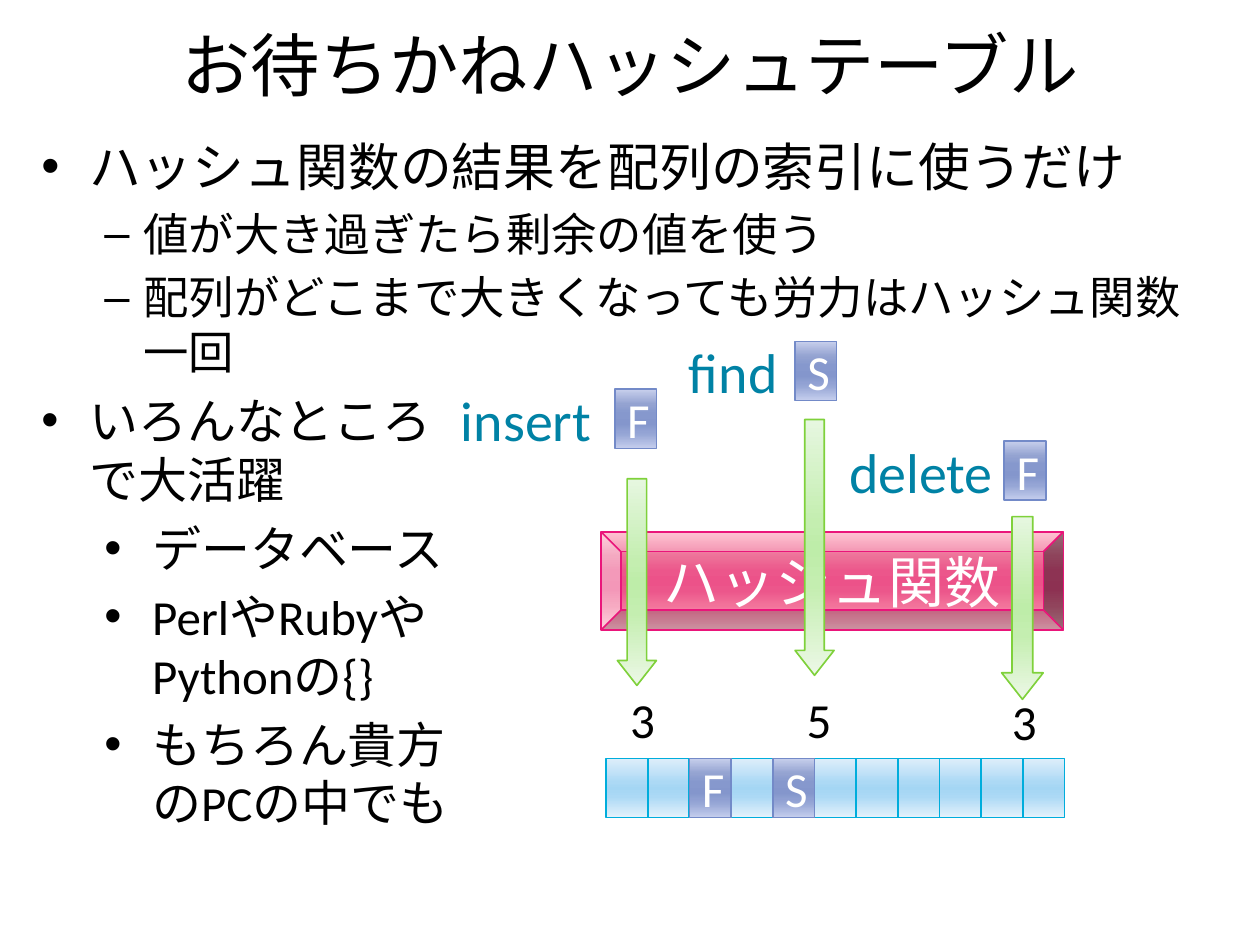
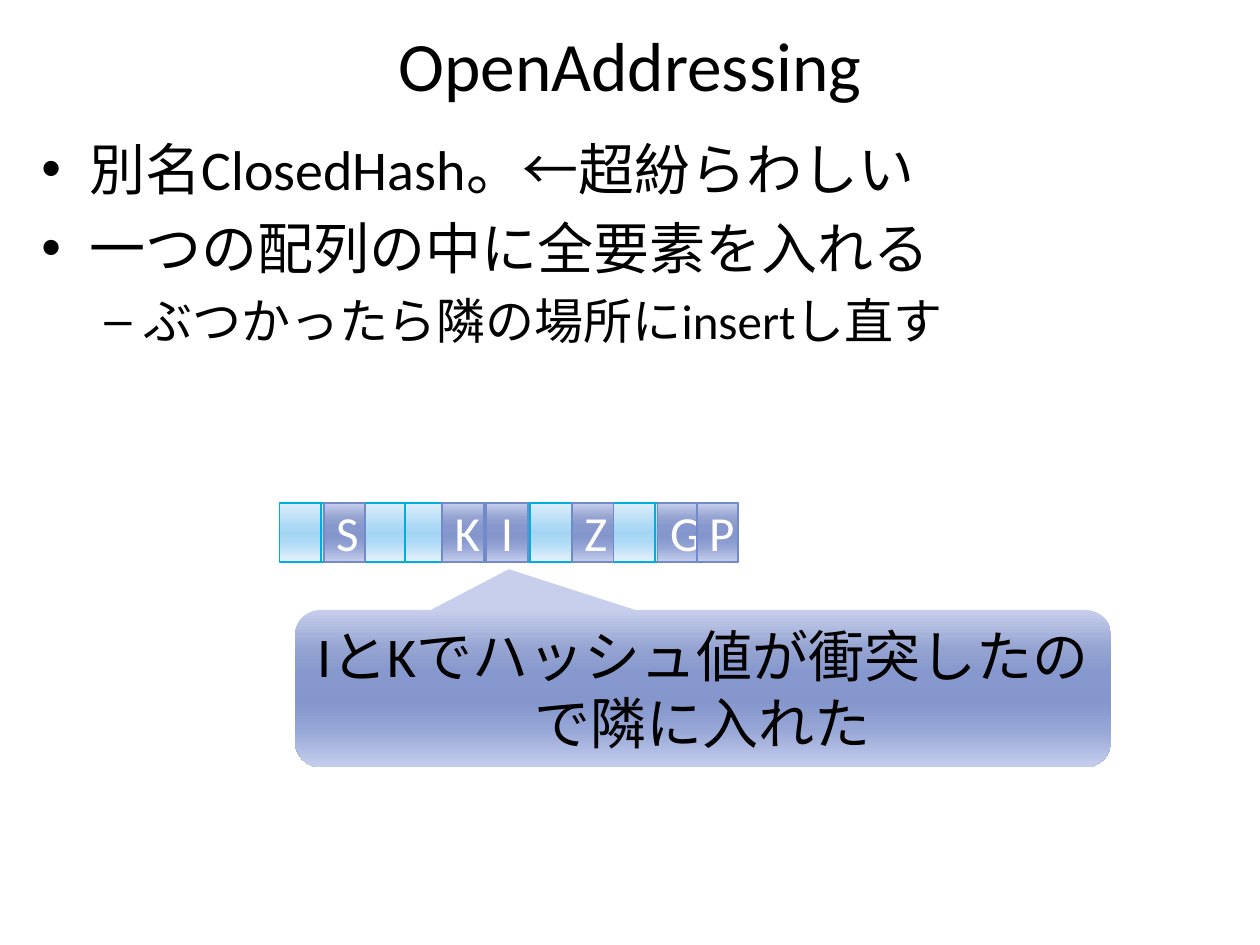
"""Build two slides that explain hash tables and open addressing."""
from pptx import Presentation
from pptx.dml.color import RGBColor
from pptx.enum.shapes import MSO_SHAPE
from pptx.enum.text import MSO_ANCHOR, PP_ALIGN
from pptx.oxml import parse_xml
from pptx.oxml.ns import nsdecls
from pptx.util import Inches, Pt

RECTANGLE = MSO_SHAPE.RECTANGLE
BEVEL = MSO_SHAPE.BEVEL
DOWN_ARROW = MSO_SHAPE.DOWN_ARROW
CALLOUT = MSO_SHAPE.ROUNDED_RECTANGULAR_CALLOUT
LEFT, CENTER = PP_ALIGN.LEFT, PP_ALIGN.CENTER
TOP, MIDDLE = MSO_ANCHOR.TOP, MSO_ANCHOR.MIDDLE

FONT = "Calibri"
BLACK, WHITE, TEAL = "000000", "FFFFFF", "0082A5"
CYAN_LINE, BLUE_LINE, PINK_LINE, GREEN_LINE = "00ADDC", "738AC8", "EA157A", "7FD13B"
CYAN = [(0, "DEEEFA"), (40, "ACD9F5"), (50, "A4D6F4"), (65, "ACD9F5"), (100, "E5F2FB")]
GREEN = [(0, "E6F7E0"), (40, "C4EEB0"), (50, "BEEDA9"), (65, "C4EEB0"), (100, "ECF8E6")]
BLUE = [(0, "C7CFEC"), (25, "94A3D1"), (40, "8698CD"), (50, "8496CC"),
        (60, "8698CD"), (75, "95A5D5"), (100, "C5CEED")]
PINK = [(0, "FFB6C9"), (25, "ED7198"), (40, "EC568B"), (50, "EC5289"),
        (60, "EC568B"), (75, "F2729A"), (100, "FFB6C9")]

CELL_WIDTH, CELL_HEIGHT = 0.33, 0.47
CELL_COUNT = 11
CELL_PITCH = 3.31 / (CELL_COUNT - 1)

TOP_BULLET = ("•", 0.38, 0.38)
DASH = ("–", 0.81, 0.31)
SUB_BULLET = ("•", 0.88, 0.38)


def color(value):
    """Turn a hex string into a colour."""
    return RGBColor.from_string(value)


def place(shape, left, top, width, height):
    """Move and size a shape, in inches."""
    shape.left, shape.top = Inches(left), Inches(top)
    shape.width, shape.height = Inches(width), Inches(height)


def write(frame, text, *, size, ink=BLACK, align=LEFT, anchor=TOP):
    """Write one formatted paragraph into a text frame."""
    frame.word_wrap = True
    frame.vertical_anchor = anchor
    para = frame.paragraphs[0]
    para.alignment = align
    add_span(para, text, size=size, ink=ink)


def add_span(para, text, *, size, ink=BLACK):
    """Add a formatted run to a paragraph."""
    span = para.add_run()
    span.text = text
    span.font.name = FONT
    span.font.size = Pt(size)
    span.font.color.rgb = color(ink)


def add_label(page, text, at, **style):
    """Add a text box."""
    box = page.shapes.add_textbox(*map(Inches, at))
    write(box.text_frame, text, **style)


def add_list(page, at, items):
    """Add a bulleted list of (text, size, bullet style) items."""
    frame = page.shapes.add_textbox(*map(Inches, at)).text_frame
    frame.word_wrap = True
    for index, (text, size, (mark, margin, hanging)) in enumerate(items):
        para = frame.add_paragraph() if index else frame.paragraphs[0]
        para.space_before = Pt(round(size * 0.2, 1))
        add_span(para, text, size=size)
        properties = para._p.get_or_add_pPr()
        properties.set("marL", str(Inches(margin)))
        properties.set("indent", str(-Inches(hanging)))
        properties.append(parse_xml(f'<a:buFont {nsdecls("a")} typeface="Arial"/>'))
        properties.append(parse_xml(f'<a:buChar {nsdecls("a")} char="{mark}"/>'))


def fill_gradient(shape, stops):
    """Fill a shape with a gradient that runs from top to bottom."""
    shape.fill.background()
    marks = "".join(f'<a:gs pos="{position * 1000}"><a:srgbClr val="{value}"/></a:gs>'
                    for position, value in stops)
    gradient = parse_xml(f'<a:gradFill {nsdecls("a")} rotWithShape="1"><a:gsLst>{marks}</a:gsLst>'
                         '<a:lin ang="5400000" scaled="0"/></a:gradFill>')
    properties = shape._element.spPr
    properties.replace(properties.find("{*}noFill"), gradient)


def add_block(page, kind, at, stops, *, line=None, adjust=(), text="", **style):
    """Add a gradient shape with optional outline and centred text."""
    shape = page.shapes.add_shape(kind, *map(Inches, at))
    shape.shadow.inherit = False
    for index, value in enumerate(adjust):
        shape.adjustments[index] = value
    fill_gradient(shape, stops)
    if line:
        shape.line.color.rgb = color(line)
        shape.line.width = Pt(0.94)
    else:
        shape.line.fill.background()
    if text:
        write(shape.text_frame, text, align=CENTER, anchor=MIDDLE, **style)


def add_key(page, letter, left, top):
    """Add a blue cell that holds a key."""
    add_block(page, RECTANGLE, (left, top, CELL_WIDTH, CELL_HEIGHT), BLUE,
              line=BLUE_LINE, text=letter, size=28, ink=WHITE)


def add_array(page, left, top):
    """Add a row of empty array cells."""
    for index in range(CELL_COUNT):
        add_block(page, RECTANGLE, (left + index * CELL_PITCH, top, CELL_WIDTH, CELL_HEIGHT),
                  CYAN, line=CYAN_LINE)


def add_operation(page, name, name_at, letter, key_at, arrow_at, slot, slot_at):
    """Add an operation name, its key, the arrow down and the resulting index."""
    add_key(page, letter, *key_at)
    add_label(page, name, name_at, size=32, ink=TEAL)
    add_block(page, DOWN_ARROW, arrow_at, GREEN, line=GREEN_LINE, adjust=(0.5, 0.637))
    add_label(page, slot, (*slot_at, 0.7, 0.57), size=28, align=CENTER)


def add_page(deck, title):
    """Add a title-only page and format its title."""
    page = deck.slides.add_slide(deck.slide_layouts[5])
    heading = page.shapes.title
    place(heading, 0.5, 0.16, 9, 0.7)
    write(heading.text_frame, title, size=39.6, align=CENTER, anchor=MIDDLE)
    return page


def build_hash_table(deck):
    """Build the page on hash tables."""
    page = add_page(deck, "お待ちかねハッシュテーブル")
    add_list(page, (0.23, 1.02, 9.53, 1.56), [
        ("ハッシュ関数の結果を配列の索引に使うだけ", 29.6, TOP_BULLET),
        ("値が大き過ぎたら剰余の値を使う", 25.9, DASH),
        ("配列がどこまで大きくなっても労力はハッシュ関数一回", 25.9, DASH),
    ])
    array_left, array_top = 4.81, 6.02
    add_array(page, array_left, array_top)
    add_block(page, BEVEL, (4.77, 4.22, 3.67, 0.78), PINK, line=PINK_LINE,
              adjust=(0.203,), text="ハッシュ関数", size=32, ink=WHITE)
    add_operation(page, "insert", (3.56, 3.01, 1.48, 0.64), "F", (4.88, 3.09),
                  (4.9, 3.8, 0.31, 1.64), "3", (4.75, 5.42))
    add_operation(page, "find", (5.37, 2.63, 0.94, 0.64), "S", (6.31, 2.71),
                  (6.31, 3.33, 0.31, 2.03), "5", (6.15, 5.42))
    add_operation(page, "delete", (6.64, 3.42, 1.48, 0.64), "F", (7.97, 3.5),
                  (7.95, 4.1, 0.33, 1.45), "3", (7.78, 5.44))
    for letter, index in (("F", 2), ("S", 4)):
        add_key(page, letter, array_left + index * CELL_PITCH, array_top)
    add_list(page, (0.23, 3.05, 3.52, 3.91), [
        ("いろんなところで大活躍", 28, TOP_BULLET),
        ("データベース", 28, SUB_BULLET),
        ("PerlやRubyやPythonの{}", 28, SUB_BULLET),
        ("もちろん貴方のPCの中でも", 28, SUB_BULLET),
    ])


def build_open_addressing(deck):
    """Build the page on open addressing."""
    page = add_page(deck, "OpenAddressing")
    add_list(page, (0.23, 1.02, 9.53, 2.11), [
        ("別名ClosedHash。←超紛らわしい", 32, TOP_BULLET),
        ("一つの配列の中に全要素を入れる", 32, TOP_BULLET),
        ("ぶつかったら隣の場所にinsertし直す", 28, DASH),
    ])
    array_top = 3.99
    add_array(page, 2.22, array_top)
    keys = (("S", 2.57), ("I", 3.86), ("G", 5.22), ("P", 5.53), ("Z", 4.54), ("K", 3.51))
    for letter, left in keys:
        add_key(page, letter, left, array_top)
    add_block(page, CALLOUT, (2.34, 4.84, 6.48, 1.25), BLUE, adjust=(-0.238, -0.758, 0.167),
              text="IとKでハッシュ値が衝突したので隣に入れた", size=32)


def main():
    """Build and save the deck."""
    deck = Presentation()
    deck.slide_width, deck.slide_height = Inches(10), Inches(7.5)
    build_hash_table(deck)
    build_open_addressing(deck)
    deck.save("out.pptx")


if __name__ == "__main__":
    main()
